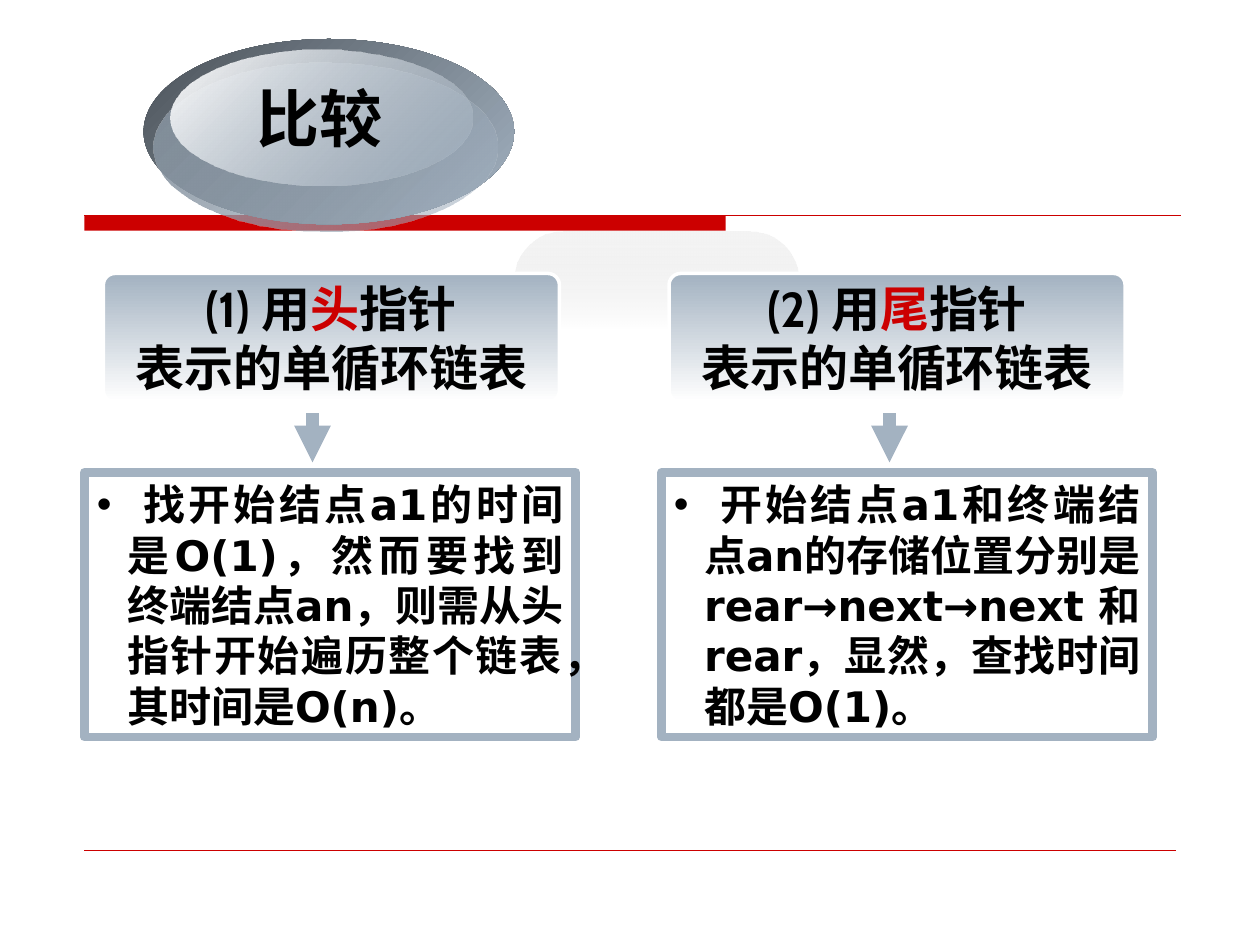
from lxml import etree
from pptx import Presentation
from pptx.dml.color import RGBColor
from pptx.enum import shapes, text
from pptx.oxml.ns import qn
from pptx.util import Inches, Pt

RED = RGBColor(0xCC, 0x00, 0x00)
BLACK = RGBColor(0x00, 0x00, 0x00)
WHITE = RGBColor(0xFF, 0xFF, 0xFF)
STEEL = RGBColor(0xA3, 0xB2, 0xC1)
STEEL_MID = RGBColor(0x81, 0x8D, 0x99)
STEEL_DARK = RGBColor(0x4B, 0x52, 0x59)
GRAY = RGBColor(0xDD, 0xDD, 0xDD)
GRAY_LIGHT = RGBColor(0xF4, 0xF4, 0xF4)

SHAPE = shapes.MSO_SHAPE
ALIGN = text.PP_ALIGN


def add_box(slide, kind, x, y, w, h, fill=None, line=None, line_width=1):
    sp = slide.shapes.add_shape(kind, Inches(x), Inches(y), Inches(w), Inches(h))
    sp.shadow.inherit = False
    if fill is None:
        sp.fill.background()
    else:
        sp.fill.solid()
        sp.fill.fore_color.rgb = fill
    if line is None:
        sp.line.fill.background()
    else:
        sp.line.color.rgb = line
        sp.line.width = Pt(line_width)
    return sp


def set_gradient(sp, start, end, angle, end_opacity=100):
    """Fill with two colours; the angle runs clockwise from the left."""
    sp.fill.gradient()
    sp.fill.gradient_angle = 360 - angle
    for stop, color in zip(sp.fill.gradient_stops, (start, end)):
        stop.color.rgb = color
    if end_opacity < 100:
        grad = sp._element.spPr.find(qn("a:gradFill"))
        last = grad.findall(".//" + qn("a:srgbClr"))[-1]
        etree.SubElement(last, qn("a:alpha"), val=str(end_opacity * 1000))


def add_line(slide, x1, y1, x2, y2, color, width, arrow=False):
    cx = slide.shapes.add_connector(
        shapes.MSO_CONNECTOR.STRAIGHT, Inches(x1), Inches(y1), Inches(x2), Inches(y2))
    cx.line.color.rgb = color
    cx.line.width = Pt(width)
    if arrow:
        etree.SubElement(cx.line._get_or_add_ln(), qn("a:tailEnd"), type="triangle")
    etree.SubElement(cx._element.spPr, qn("a:effectLst"))


def write(sp, lines, size, font, align, anchor=text.MSO_ANCHOR.TOP, wrap=True, bullet=False):
    """Write one paragraph per line; a line is a list of (text, colour) runs."""
    tf = sp.text_frame
    tf.word_wrap = wrap
    tf.auto_size = text.MSO_AUTO_SIZE.NONE
    tf.vertical_anchor = anchor
    for i, runs in enumerate(lines):
        p = tf.add_paragraph() if i else tf.paragraphs[0]
        p.alignment = align
        if bullet:
            pPr = p._p.get_or_add_pPr()
            pPr.set("marL", str(Inches(0.24)))
            pPr.set("indent", str(-Inches(0.24)))
            etree.SubElement(pPr, qn("a:buFont"), typeface="Arial")
            etree.SubElement(pPr, qn("a:buChar"), char="•")
        for words, color in runs:
            r = p.add_run()
            r.text = words
            r.font.size = Pt(size)
            r.font.name = font
            r.font.bold = True
            r.font.color.rgb = color


def add_rules(slide, x, y, w):
    """Red bar with a thin rule above the content, and a hairline below it."""
    add_box(slide, SHAPE.RECTANGLE, x, y, 5.09, 0.12, fill=RED)
    add_line(slide, x, y, x + w, y, RED, 0.75)
    add_line(slide, x, 6.75, 9.33, 6.75, RED, 0.25)


def add_title_badge(slide, x, y, title):
    ovals = [
        (0, 0, 2.94, 1.47, STEEL_DARK, 100),
        (0.08, 0.19, 2.73, 1.34, STEEL_MID, 48),
        (0.21, 0.08, 2.4, 1.08, WHITE, 38),
    ]
    for dx, dy, w, h, start, opacity in ovals:
        oval = add_box(slide, SHAPE.OVAL, x + dx, y + dy, w, h)
        set_gradient(oval, start, STEEL, 45, opacity)
    sp = slide.shapes.title
    sp.left, sp.top = Inches(x + 0.27), Inches(y + 0.27)
    sp.width, sp.height = Inches(2.25), Inches(0.7)
    write(sp, [[(title, BLACK)]], 36, "Arial", ALIGN.CENTER)
    slide.shapes._spTree.append(sp._element)  # bring in front of the ovals


def add_tab_shade(slide, x, y, w, h):
    shade = add_box(slide, SHAPE.ROUNDED_RECTANGLE, x, y, w, h)
    shade.adjustments[0] = 0.5
    set_gradient(shade, GRAY_LIGHT, GRAY, 90, 0)


def add_column(slide, x, y, header_dx, arrow_dx, number, key, body):
    """Header, arrow and framed note about one kind of list pointer."""
    header = add_box(slide, SHAPE.ROUNDED_RECTANGLE, x + header_dx, y, 3.62, 1.02,
                     line=WHITE, line_width=2)
    header.adjustments[0] = 0.09
    set_gradient(header, STEEL, WHITE, 90)
    lines = [
        [(f"({number}) 用", BLACK), (key, RED), ("指针", BLACK)],
        [("表示的单循环链表", BLACK)],
    ]
    write(header, lines, 28, "Cabin", ALIGN.CENTER, text.MSO_ANCHOR.MIDDLE, wrap=False)
    note = add_box(slide, SHAPE.RECTANGLE, x, y + 1.58, 3.9, 2.1, line=STEEL, line_width=5)
    write(note, [[(body, BLACK)]], 24, "DejaVu Sans", ALIGN.JUSTIFY, bullet=True)
    add_line(slide, x + arrow_dx, y + 1.11, x + arrow_dx, y + 1.5, STEEL, 7, arrow=True)


def main():
    prs = Presentation()
    prs.slide_width, prs.slide_height = Inches(10), Inches(7.5)
    slide = prs.slides.add_slide(prs.slide_layouts[5])
    add_rules(slide, 0.67, 1.71, 8.7)
    add_tab_shade(slide, 4.08, 1.84, 2.26, 0.77)
    add_title_badge(slide, 1.14, 0.31, "比较")
    add_column(slide, 5.25, 2.17, 0.06, 1.81, 2, "尾",
               " 开始结点a1和终端结点an的存储位置分别是rear→next→next和rear，"
               "显然，查找时间都是O(1)。")
    add_column(slide, 0.67, 2.17, 0.15, 1.81, 1, "头",
               " 找开始结点a1的时间是O(1)，然而要找到终端结点an，"
               "则需从头指针开始遍历整个链表，其时间是O(n)。")
    prs.save("out.pptx")


if __name__ == "__main__":
    main()
